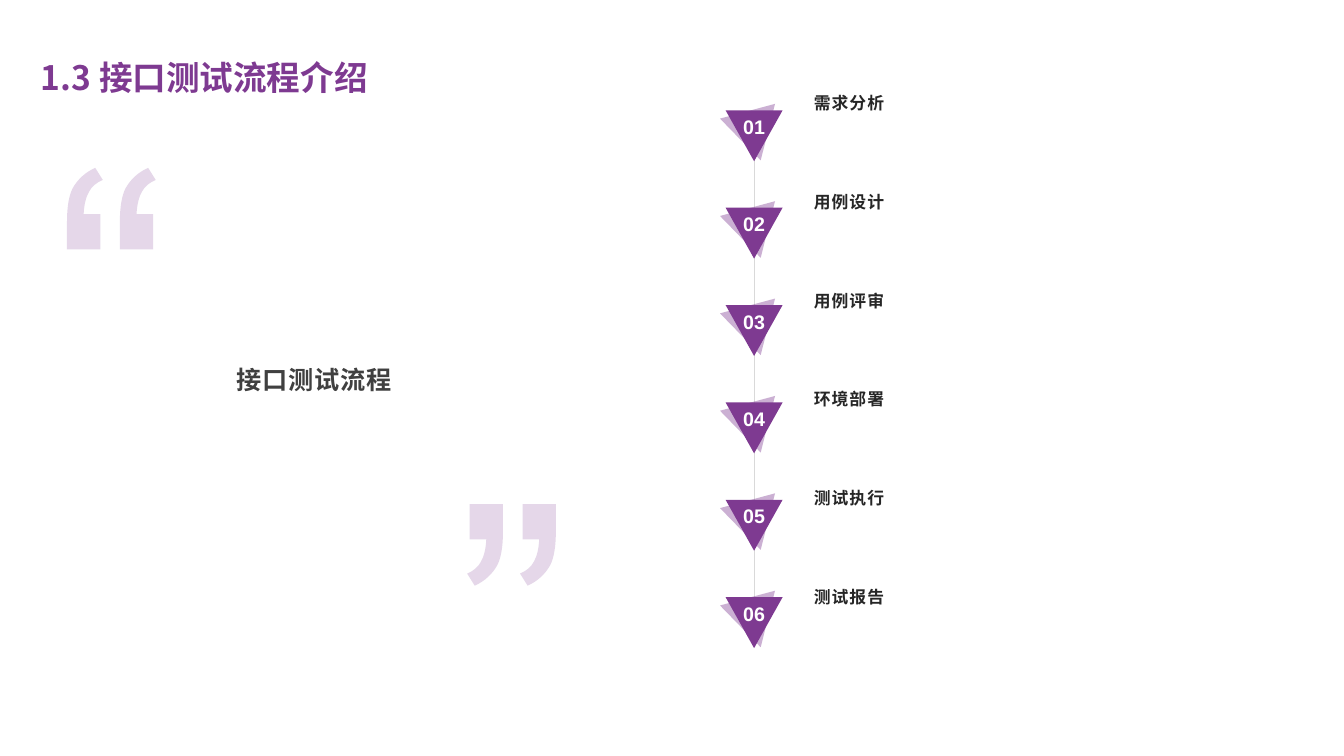
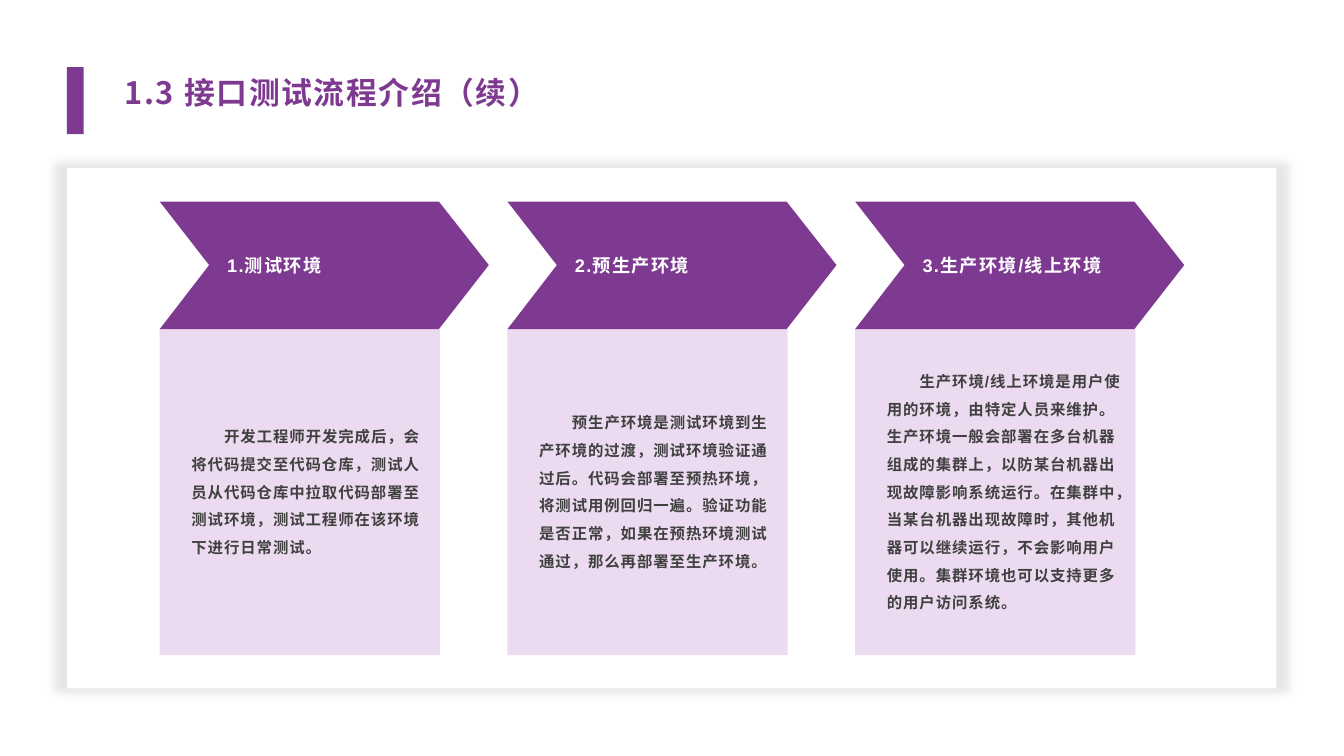
from lxml import etree
from pptx import Presentation
from pptx.dml.color import RGBColor
from pptx.enum.shapes import MSO_CONNECTOR, MSO_SHAPE
from pptx.enum.text import MSO_ANCHOR, MSO_AUTO_SIZE, PP_ALIGN
from pptx.oxml.ns import qn
from pptx.util import Pt

EMU_PER_PX = 9144
SLIDE_WIDTH, SLIDE_HEIGHT = 2667, 1500
TITLE_ONLY = 5

PURPLE = RGBColor(0x7E, 0x3A, 0x91)
LILAC = RGBColor(0xE8, 0xD3, 0xED)
WHITE = RGBColor(0xFF, 0xFF, 0xFF)
BLACK = RGBColor(0x00, 0x00, 0x00)
GREY = RGBColor(0x40, 0x40, 0x40)
DARK = RGBColor(0x26, 0x26, 0x26)
RULE = RGBColor(0xD9, 0xD9, 0xD9)

LATIN = "Arial"
CHINESE = "Noto Sans CJK SC"

LEFT, CENTER = PP_ALIGN.LEFT, PP_ALIGN.CENTER
TOP, MIDDLE = MSO_ANCHOR.TOP, MSO_ANCHOR.MIDDLE
NO_FIT, GROW = MSO_AUTO_SIZE.NONE, MSO_AUTO_SIZE.SHAPE_TO_FIT_TEXT
RECTANGLE, TRIANGLE = MSO_SHAPE.RECTANGLE, MSO_SHAPE.ISOSCELES_TRIANGLE
STRAIGHT = MSO_CONNECTOR.STRAIGHT

PLAIN_INSETS = (10, 5, 10, 5)
WIDE_INSETS = (14, 6, 14, 6)
EVEN_INSETS = (8, 8, 8, 8)

STEPS = ["需求分析", "用例设计", "用例评审", "环境部署", "测试执行", "测试报告"]
ENVIRONMENTS = [
    ("1.测试环境", CHINESE,
     "开发工程师开发完成后，会将代码提交至代码仓库，测试人员从代码仓库中拉取代码部署至"
     "测试环境，测试工程师在该环境下进行日常测试。"),
    ("2.预生产环境", LATIN,
     "预生产环境是测试环境到生产环境的过渡，测试环境验证通过后。代码会部署至预热环境，"
     "将测试用例回归一遍。验证功能是否正常，如果在预热环境测试通过，那么再部署至生产环境。"),
    ("3.生产环境/线上环境", LATIN,
     "生产环境/线上环境是用户使用的环境，由特定人员来维护。生产环境一般会部署在多台机器"
     "组成的集群上，以防某台机器出现故障影响系统运行。在集群中，当某台机器出现故障时，"
     "其他机器可以继续运行，不会影响用户使用。集群环境也可以支持更多的用户访问系统。"),
]

MARK_START = (66, 92)
MARK_PIECES = [
    [(66, 162)],
    [(0, 162)],
    [(0, 106)],
    [(0, 77), (4, 55), (11, 41)],
    [(21, 23), (36, 9), (56, 0)],
    [(71, 24)],
    [(59, 29), (49, 37), (44, 47)],
    [(38, 57), (34, 72), (33, 92)],
]
MARK_PITCH = 105


def px(length):
    """Turn a length in px into EMU."""
    return round(length * EMU_PER_PX)


def paint(shape, color, opacity=100):
    """Give a shape a flat fill without line or shadow."""
    shape.shadow.inherit = False
    shape.line.fill.background()
    shape.fill.solid()
    shape.fill.fore_color.rgb = color
    if opacity < 100:
        tint = shape.element.spPr.find(qn("a:solidFill") + "/" + qn("a:srgbClr"))
        etree.SubElement(tint, qn("a:alpha"), val=str(opacity * 1000))


def add_block(slide, preset, left, top, width, height, color, opacity=100):
    """Add a flat preset shape."""
    block = slide.shapes.add_shape(preset, px(left), px(top), px(width), px(height))
    paint(block, color, opacity)
    return block


def add_outline(slide, left, top, contours, color, opacity=100):
    """Add a freeform of closed contours given relative to its corner."""
    builder = None
    for contour in contours:
        start, *rest = [(px(x), px(y)) for x, y in contour]
        if builder is None:
            builder = slide.shapes.build_freeform(*start, scale=1.0)
        else:
            builder.move_to(*start)
        builder.add_line_segments(rest, close=True)
    outline = builder.convert_to_shape(px(left), px(top))
    paint(outline, color, opacity)
    return outline


def write(box, text, size, font, color, spacing=0, align=LEFT, anchor=TOP,
          insets=PLAIN_INSETS, line_spacing=1.0, fit=NO_FIT):
    """Write one bold paragraph into a box and return the paragraph."""
    frame = box.text_frame
    frame.word_wrap = True
    frame.auto_size = fit
    frame.vertical_anchor = anchor
    (frame.margin_left, frame.margin_top,
     frame.margin_right, frame.margin_bottom) = map(px, insets)
    paragraph = frame.paragraphs[0]
    paragraph.alignment = align
    paragraph.line_spacing = line_spacing
    run = paragraph.add_run()
    run.text = text
    run.font.size = Pt(size)
    run.font.bold = True
    run.font.color.rgb = color
    run.font.name = font
    properties = run._r.get_or_add_rPr()
    etree.SubElement(properties, qn("a:ea"), typeface=CHINESE)
    if spacing:
        properties.set("spc", str(round(spacing * 100)))
    return paragraph


def add_text(slide, left, top, width, height, *content, **style):
    """Add a text box holding one paragraph."""
    box = slide.shapes.add_textbox(px(left), px(top), px(width), px(height))
    return write(box, *content, **style)


def add_titled_slide(deck, box, text, size, **style):
    """Add a title-only slide with its title set in the box."""
    slide = deck.slides.add_slide(deck.slide_layouts[TITLE_ONLY])
    title = slide.shapes.title
    title.left, title.top, title.width, title.height = map(px, box)
    write(title, text, size, CHINESE, PURPLE, **style)
    return slide


def bend(outline, pieces):
    """Turn each run of three line segments in the pieces into one curve."""
    segments = iter(list(outline.element.spPr.iter(qn("a:lnTo"))))
    for piece in pieces:
        first, *others = [next(segments) for _ in piece]
        if others:
            first.tag = qn("a:cubicBezTo")
        for segment in others:
            first.append(segment[0])
            segment.getparent().remove(segment)


def add_quote(slide, left, top, rotation=0):
    """Add a pale pair of quotation marks."""
    points = [MARK_START] + [point for piece in MARK_PIECES for point in piece]
    marks = [[(x + shift, y) for x, y in points] for shift in (0, MARK_PITCH)]
    quote = add_outline(slide, left, top, marks, PURPLE, 20)
    bend(quote, MARK_PIECES * len(marks))
    quote.rotation = rotation


def add_quotation(slide, left, top):
    """Place the topic between its opening and closing quotes."""
    add_quote(slide, left, top)
    add_text(slide, left + 106, top + 234, 767, 367, "接口测试流程", 36, CHINESE, GREY,
             spacing=1.2, align=CENTER, anchor=MIDDLE, insets=WIDE_INSETS, line_spacing=1.1)
    add_quote(slide, left + 794, top + 667, rotation=180)


def add_step_marker(slide, left, top, number):
    """Add a numbered pair of triangles pointing down."""
    for rotation, opacity in ((345, 40), (0, 100)):
        triangle = add_block(slide, TRIANGLE, left, top, 113, 101, PURPLE, opacity)
        triangle.rotation = rotation
        transform = triangle.element.spPr.find(qn("a:xfrm"))
        transform.set("flipH", "1")
        transform.set("flipV", "1")
    add_text(slide, left + 8, top + 4, 97, 67, f"{number:02d}", 28, LATIN, WHITE, align=CENTER)


def add_timeline(slide, left, top, height):
    """Place the steps down a thin rule at equal gaps."""
    rule = slide.shapes.add_connector(STRAIGHT, px(left + 57), px(top + 23),
                                      px(left + 57), px(top + height - 45))
    rule.line.color.rgb = RULE
    rule.line.width = Pt(1)
    etree.SubElement(rule.element.spPr, qn("a:effectLst"))
    marker_pitch = (height - 101) / (len(STEPS) - 1)
    for index, step in enumerate(STEPS):
        add_step_marker(slide, left, top + index * marker_pitch, index + 1)
        add_text(slide, left + 165, top - 52 + index * 196, 688, 186, step, 24, LATIN, DARK,
                 spacing=1.5, line_spacing=1.3)


def add_panel(slide, left, top, width, height):
    """Add the white panel with a soft shadow around it."""
    panel = add_block(slide, RECTANGLE, left, top, width, height, WHITE)
    effects = panel.element.spPr.find(qn("a:effectLst"))
    glow = etree.SubElement(effects, qn("a:outerShdw"), blurRad=str(Pt(12)), sx="102000",
                            sy="102000", algn="ctr", rotWithShape="0")
    shade = etree.SubElement(glow, qn("a:srgbClr"), val=str(BLACK))
    etree.SubElement(shade, qn("a:alpha"), val="10000")


def add_environment(slide, left, top, heading, font, description):
    """Add an arrow heading above its description card."""
    add_block(slide, RECTANGLE, left, top + 252, 556, 648, LILAC, 80)
    body = add_text(slide, left + 53, top + 300, 490, 534, description, 22, font, GREY,
                    spacing=1.4, anchor=MIDDLE, line_spacing=1.5)
    body.space_after = Pt(8)
    indents = body._p.get_or_add_pPr()
    indents.set("marL", "0")
    indents.set("indent", str(px(65)))
    arrow = [(0, 0), (554, 0), (653, 126), (554, 253), (0, 253), (98, 126)]
    add_outline(slide, left, top, [arrow], PURPLE)
    add_text(slide, left + 124, top + 38, 451, 176, heading, 26, LATIN, WHITE,
             spacing=1.8, anchor=MIDDLE)


def build_process_slide(deck):
    """Build the slide listing the steps of the process."""
    slide = add_titled_slide(deck, (73, 104, 1333, 96), "1.3 接口测试流程介绍", 48,
                             insets=EVEN_INSETS, fit=GROW)
    add_quotation(slide, 133, 333)
    add_timeline(slide, 1440, 219, 1067)


def build_environment_slide(deck):
    """Build the slide describing the three environments."""
    slide = add_titled_slide(deck, (233, 133, 2233, 133), "1.3 接口测试流程介绍（续）", 44,
                             spacing=2.3, insets=WIDE_INSETS, line_spacing=1.1)
    add_panel(slide, 133, 333, 2400, 1033)
    for index, environment in enumerate(ENVIRONMENTS):
        add_environment(slide, 317 + index * 690, 400, *environment)
    add_block(slide, RECTANGLE, 133, 133, 33, 133, PURPLE)


def main():
    """Build the deck and save it."""
    deck = Presentation()
    deck.slide_width, deck.slide_height = px(SLIDE_WIDTH), px(SLIDE_HEIGHT)
    build_process_slide(deck)
    build_environment_slide(deck)
    deck.save("out.pptx")


if __name__ == "__main__":
    main()
